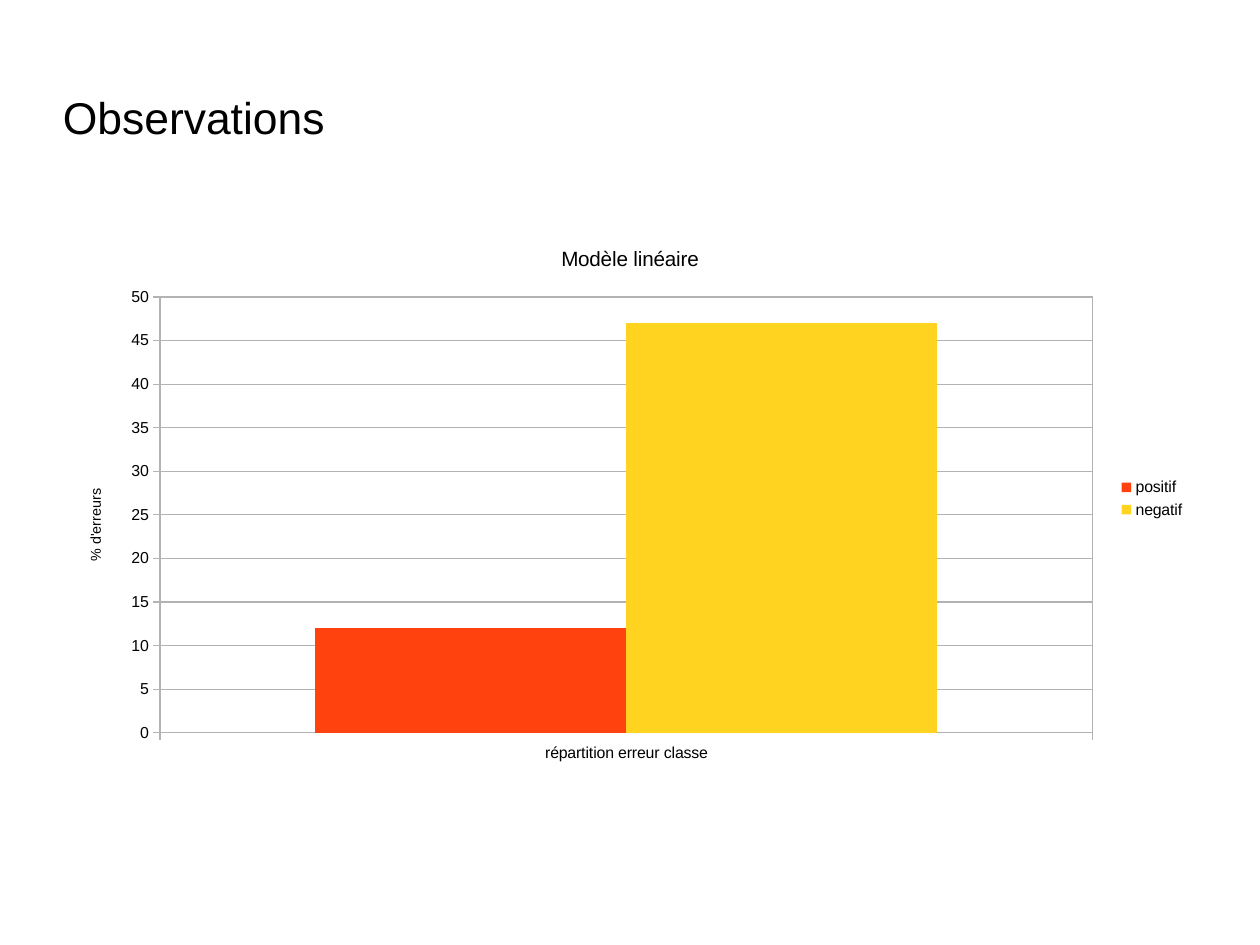
from lxml.etree import SubElement
from pptx import Presentation
from pptx.chart.data import CategoryChartData
from pptx.dml.color import RGBColor
from pptx.enum.chart import XL_CHART_TYPE, XL_LEGEND_POSITION, XL_TICK_MARK
from pptx.enum.text import MSO_ANCHOR
from pptx.oxml import parse_xml
from pptx.oxml.ns import nsdecls, qn
from pptx.util import Pt

PX = 8000  # EMU per px
COLORS = {
    "text": "000000",
    "grid": "B3B3B3",
    "positif": "FF420E",
    "negatif": "FFD320",
}
ERRORS = {"positif": 12, "negatif": 47}
CHART_BOX = (63, 225, 1134, 547)
PLOT_BOX = (160, 297, 933, 436)


def px(*lengths):
    return [length * PX for length in lengths]


def color(name):
    return RGBColor.from_string(COLORS[name])


def set_all(target, formats):
    for name, value in formats.items():
        setattr(target, name, value)


def style_font(font, size):
    set_all(font, {"name": "Arial", "size": Pt(size), "bold": False})
    font.color.rgb = color("text")


def style_line(line):
    line.color.rgb = color("grid")
    line.width = 0


def write(frame, text, size):
    run = frame.paragraphs[0].add_run()
    run.text = text
    style_font(run.font, size)


def add_heading(slide, text, box, size):
    frame = slide.shapes.add_textbox(*px(*box)).text_frame
    set_all(frame, {
        "word_wrap": True, "vertical_anchor": MSO_ANCHOR.MIDDLE,
        "margin_left": 0, "margin_right": 0, "margin_top": 0, "margin_bottom": 0,
    })
    write(frame, text, size)


def style_axis(axis, formats):
    set_all(axis, formats)
    set_all(axis, {"major_tick_mark": XL_TICK_MARK.OUTSIDE,
                   "minor_tick_mark": XL_TICK_MARK.NONE})
    style_font(axis.tick_labels.font, 10)
    style_line(axis.format.line)


def frame_plot(chart):
    """Place the inner plot area and give it a thin border."""
    plot_area = chart._chartSpace.chart.plotArea
    for layout in plot_area.findall(qn("c:layout")):
        plot_area.remove(layout)
    layout = parse_xml(f'<c:layout {nsdecls("c")}/>')
    manual = SubElement(layout, qn("c:manualLayout"))
    left, top, width, height = CHART_BOX
    plot_left, plot_top, plot_width, plot_height = PLOT_BOX
    settings = {
        "layoutTarget": "inner", "xMode": "edge", "yMode": "edge",
        "x": (plot_left - left) / width, "y": (plot_top - top) / height,
        "w": plot_width / width, "h": plot_height / height,
    }
    for tag, value in settings.items():
        SubElement(manual, qn(f"c:{tag}")).set("val", str(value))
    plot_area.insert(0, layout)
    plot_area.append(parse_xml(
        f'<c:spPr {nsdecls("c", "a")}><a:noFill/><a:ln w="0"><a:solidFill>'
        f'<a:srgbClr val="{COLORS["grid"]}"/></a:solidFill></a:ln></c:spPr>'))


def add_error_chart(slide):
    data = CategoryChartData()
    data.categories = ["répartition erreur classe"]
    for label, percent in ERRORS.items():
        data.add_series(label, [percent])
    chart = slide.shapes.add_chart(
        XL_CHART_TYPE.COLUMN_CLUSTERED, *px(*CHART_BOX), data).chart
    style_font(chart.font, 10)

    # Titles
    write(chart.chart_title.text_frame, "Modèle linéaire", 13)
    chart.chart_title.include_in_layout = False
    write(chart.value_axis.axis_title.text_frame, "% d'erreurs", 9)

    # Axes and grid
    style_axis(chart.category_axis, {"has_major_gridlines": False})
    style_axis(chart.value_axis, {"minimum_scale": 0, "maximum_scale": 50,
                                  "major_unit": 5, "has_major_gridlines": True})
    style_line(chart.value_axis.major_gridlines.format.line)

    # Columns
    columns = chart.plots[0]
    set_all(columns, {"gap_width": 100, "overlap": 0, "vary_by_categories": False})
    for series in columns.series:
        series.format.fill.solid()
        series.format.fill.fore_color.rgb = color(series.name)

    # Legend
    chart.has_legend = True
    set_all(chart.legend, {"position": XL_LEGEND_POSITION.RIGHT,
                           "include_in_layout": False})
    style_font(chart.legend.font, 10)
    frame_plot(chart)


def main():
    deck = Presentation()
    deck.slide_width, deck.slide_height = px(1260, 945)
    slide = deck.slides.add_slide(deck.slide_layouts[6])
    add_heading(slide, "Observations", (63, 72, 900, 90), 28)
    add_error_chart(slide)
    deck.save("out.pptx")


if __name__ == "__main__":
    main()
